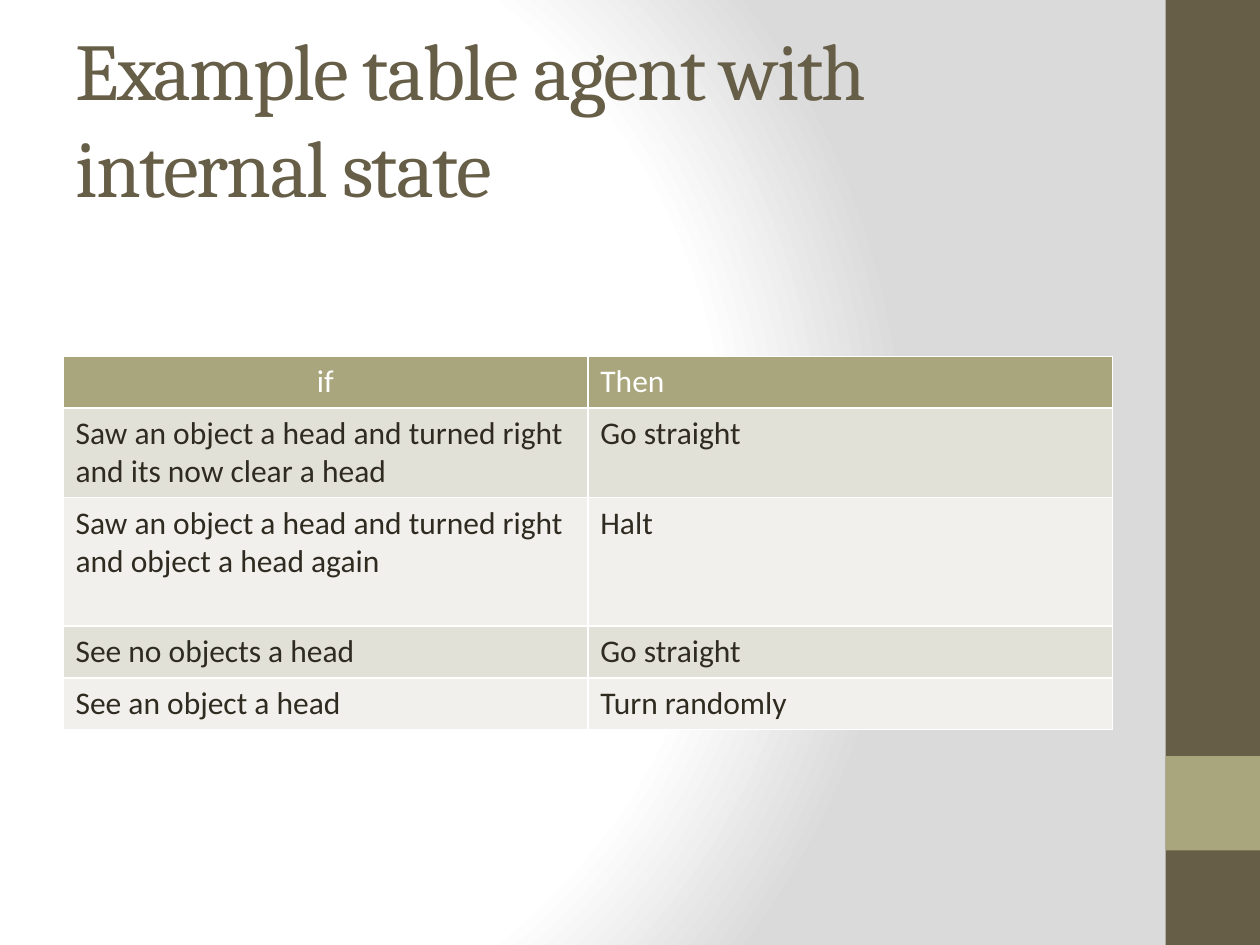
from pptx import Presentation
from pptx.dml.color import RGBColor
from pptx.enum.shapes import MSO_SHAPE
from pptx.enum.text import MSO_ANCHOR, MSO_AUTO_SIZE, PP_ALIGN
from pptx.oxml import parse_xml
from pptx.oxml.ns import nsdecls
from pptx.util import Inches, Pt

RECTANGLE = MSO_SHAPE.RECTANGLE
MIDDLE = MSO_ANCHOR.MIDDLE
NO_AUTOFIT = MSO_AUTO_SIZE.NONE
LEFT, CENTER = PP_ALIGN.LEFT, PP_ALIGN.CENTER
TITLE_ONLY = 5

COLORS = {
    "white": "FFFFFF",
    "shade": "DADADA",
    "brown": "675E47",
    "olive": "A9A57C",
    "text": "2F2B20",
    "odd_row": "E2E1D7",
    "even_row": "F1F0EC",
}
RULES = [
    ("if", "Then"),
    ("Saw an object a head and turned right and its now clear a head", "Go straight"),
    ("Saw an object a head and turned right and object a head again", "Halt"),
    ("See no objects a head", "Go straight"),
    ("See an object a head", "Turn randomly"),
]
ROW_HEIGHTS = [0.41, 0.71, 1.02, 0.41, 0.41]


def rgb(name):
    return RGBColor.from_string(COLORS[name])


def format_run(run, font_name, size, color):
    run.font.name = font_name
    run.font.size = Pt(size)
    run.font.color.rgb = rgb(color)


def set_background(page):
    """Fill the page with a circular gradient centred on the left."""
    page.background.fill.solid()
    solid = page.element.xpath(".//p:bgPr/a:solidFill")[0]
    stops = "".join(
        f'<a:gs pos="{position * 1000}"><a:srgbClr val="{COLORS[color]}"/></a:gs>'
        for position, color in [(0, "white"), (75, "white"), (100, "shade")]
    )
    gradient = parse_xml(
        f'<a:gradFill {nsdecls("a")} rotWithShape="1"><a:gsLst>{stops}</a:gsLst>'
        '<a:path path="circle"><a:fillToRect l="20000" t="50000" r="100000" b="50000"/>'
        "</a:path></a:gradFill>"
    )
    solid.getparent().replace(solid, gradient)


def add_block(page, top, height, color):
    block = page.shapes.add_shape(
        RECTANGLE, Inches(9.25), Inches(top), Inches(0.75), Inches(height)
    )
    block.shadow.inherit = False
    block.fill.solid()
    block.fill.fore_color.rgb = rgb(color)
    block.line.fill.background()


def set_title(page, text):
    title = page.shapes.title
    title.left, title.top = Inches(0.5), Inches(0.3)
    title.width, title.height = Inches(8.33), Inches(1.25)
    frame = title.text_frame
    frame.text = text
    frame.word_wrap = True
    frame.auto_size = NO_AUTOFIT
    frame.vertical_anchor = MIDDLE
    para = frame.paragraphs[0]
    para.alignment = LEFT
    run = para.runs[0]
    format_run(run, "Cambria", 46, "brown")
    run.font._element.set("spc", "-100")


def set_borders(cell):
    properties = cell._tc.get_or_add_tcPr()
    for index, side in enumerate(("lnL", "lnR", "lnT", "lnB")):
        border = parse_xml(
            f'<a:{side} {nsdecls("a")} w="{Pt(1)}"><a:solidFill>'
            f'<a:srgbClr val="{COLORS["white"]}"/></a:solidFill></a:{side}>'
        )
        properties.insert(index, border)


def format_cell(cell, text, fill, color):
    cell.text = text
    format_run(cell.text_frame.paragraphs[0].runs[0], "Calibri", 18, color)
    cell.fill.solid()
    cell.fill.fore_color.rgb = rgb(fill)
    set_borders(cell)


def add_rule_table(page):
    frame = page.shapes.add_table(
        len(RULES), 2, Inches(0.5), Inches(2.83), Inches(8.33), Inches(sum(ROW_HEIGHTS))
    )
    table = frame.table
    for row_index, (rule, height) in enumerate(zip(RULES, ROW_HEIGHTS)):
        table.rows[row_index].height = Inches(height)
        if row_index == 0:
            fill, color = "olive", "white"
        else:
            fill, color = ("odd_row" if row_index % 2 else "even_row"), "text"
        for column_index, text in enumerate(rule):
            format_cell(table.cell(row_index, column_index), text, fill, color)
    for run in (run for cell in table.rows[0].cells
                for run in cell.text_frame.paragraphs[0].runs):
        run.font.bold = False
    table.cell(0, 0).text_frame.paragraphs[0].alignment = CENTER


def main():
    deck = Presentation()
    deck.slide_width, deck.slide_height = Inches(10), Inches(7.5)
    page = deck.slides.add_slide(deck.slide_layouts[TITLE_ONLY])
    set_background(page)
    add_block(page, 0, 7.5, "brown")
    add_block(page, 6, 0.75, "olive")
    set_title(page, "Example table agent with internal state")
    add_rule_table(page)
    deck.save("out.pptx")


if __name__ == "__main__":
    main()
